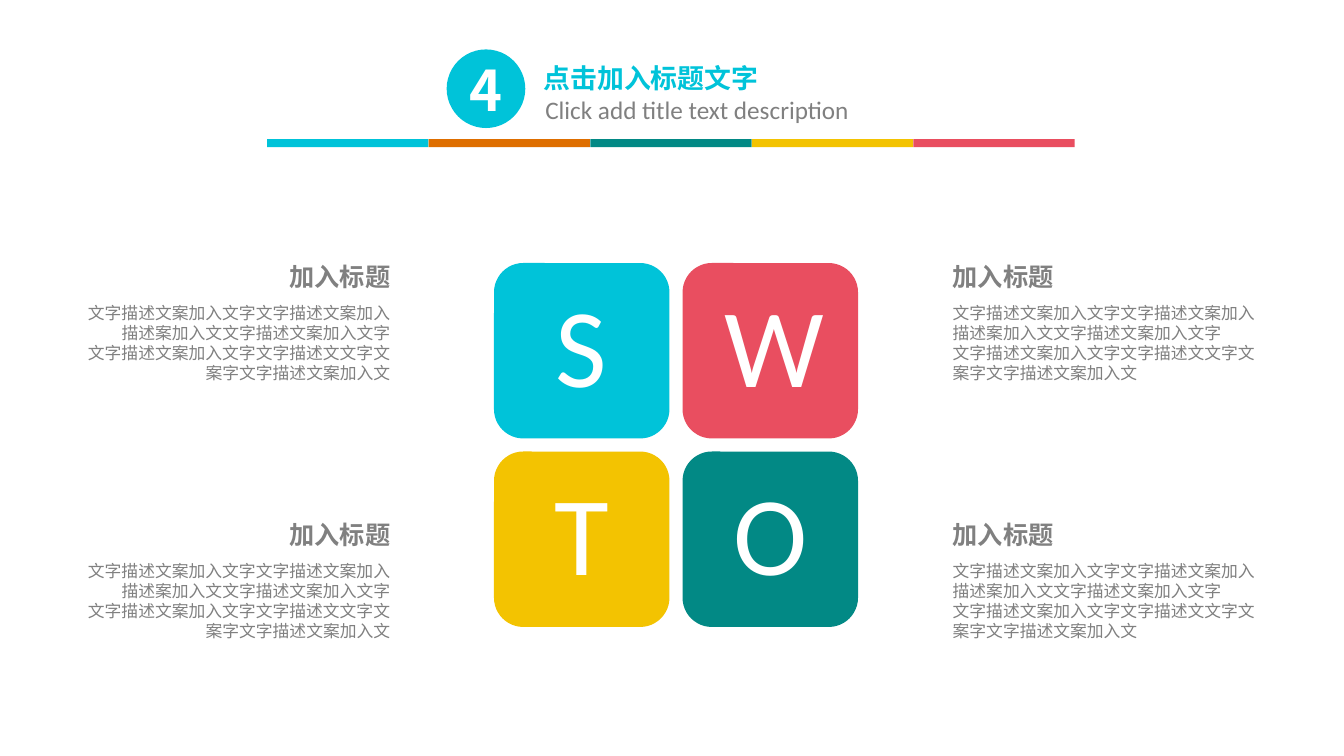
from lxml import etree
from pptx import Presentation
from pptx.dml.color import RGBColor
from pptx.enum.shapes import MSO_SHAPE
from pptx.enum.text import MSO_ANCHOR, PP_ALIGN
from pptx.oxml.ns import qn
from pptx.util import Inches, Pt

OVAL, RECT, ROUND = MSO_SHAPE.OVAL, MSO_SHAPE.RECTANGLE, MSO_SHAPE.ROUNDED_RECTANGLE
LEFT, MID, RIGHT = PP_ALIGN.LEFT, PP_ALIGN.CENTER, PP_ALIGN.RIGHT
CYAN = RGBColor(0x00, 0xC3, 0xD9)
ORANGE = RGBColor(0xDE, 0x6E, 0x00)
TEAL = RGBColor(0x02, 0x89, 0x85)
YELLOW = RGBColor(0xF3, 0xC3, 0x01)
RED = RGBColor(0xE9, 0x4E, 0x60)
GRAY = RGBColor(0x80, 0x80, 0x80)
WHITE = RGBColor(0xFF, 0xFF, 0xFF)
LATIN, HAN = "Calibri", "Noto Sans CJK SC"
BODY = (
    "文字描述文案加入文字文字描述文案加入描述案加入文文字描述文案加入文字\n"
    "文字描述文案加入文字文字描述文文字文案字文字描述文案加入文"
)

deck = Presentation()
deck.slide_width, deck.slide_height = Inches(13.33), Inches(7.5)
slide = deck.slides.add_slide(deck.slide_layouts[6])


def add_block(kind, x, y, w, h, fill):
    block = slide.shapes.add_shape(kind, Inches(x), Inches(y), Inches(w), Inches(h))
    block.shadow.inherit = False
    block.fill.solid()
    block.fill.fore_color.rgb = fill
    block.line.fill.background()
    block.text_frame.vertical_anchor = MSO_ANCHOR.MIDDLE
    return block


def set_text(shape, text, size, color, face, align=LEFT, bold=False, wrap=True):
    frame = shape.text_frame
    frame.word_wrap = wrap
    frame.text = text
    for para in frame.paragraphs:
        para.alignment = align
        for run in para.runs:
            run.font.size, run.font.bold, run.font.name = Pt(size), bold, face
            run.font.color.rgb = color
            east = etree.SubElement(run._r.get_or_add_rPr(), qn("a:ea"))
            east.set("typeface", HAN)


badge = add_block(OVAL, 4.43, 0.49, 0.78, 0.78, CYAN)
set_text(badge, "4", 40, WHITE, HAN, MID, True)

title = slide.shapes.add_textbox(Inches(5.31), Inches(0.5), Inches(2.88), Inches(0.48))
set_text(title, "点击加入标题文字", 24, CYAN, HAN, bold=True)
frame = title.text_frame
frame.margin_left = frame.margin_right = Inches(0.08)
frame.margin_top = frame.margin_bottom = Inches(0.04)
frame.paragraphs[0].runs[0]._r.get_or_add_rPr().set("cap", "small")

note = slide.shapes.add_textbox(Inches(5.31), Inches(0.89), Inches(3.36), Inches(0.4))
set_text(note, "Click add title text description", 18, GRAY, LATIN)

for i, color in enumerate((CYAN, ORANGE, TEAL, YELLOW, RED)):
    add_block(RECT, 2.65 + 1.6025 * i, 1.38, 1.6, 0.08, color)

tiles = (("S", CYAN), ("W", RED), ("T", YELLOW), ("O", TEAL))
for i, (mark, color) in enumerate(tiles):
    row, col = divmod(i, 2)
    tile = add_block(ROUND, 4.9 + 1.87 * col, 2.61 + 1.87 * row, 1.74, 1.74, color)
    set_text(tile, mark, 80, WHITE, LATIN, MID)
    frame = tile.text_frame
    frame.margin_left = frame.margin_right = Inches(0.33)
    frame.margin_top = frame.margin_bottom = Inches(0.33)
    frame.paragraphs[0].line_spacing = 0.9

for head_x, body_x, align in ((2.75, 0.62, RIGHT), (9.35, 9.35, LEFT)):
    for y in (2.54, 5.1):
        body = slide.shapes.add_textbox(
            Inches(body_x), Inches(y + 0.41), Inches(3.35), Inches(1.11))
        set_text(body, BODY, 12, GRAY, HAN, align)
        head = slide.shapes.add_textbox(
            Inches(head_x), Inches(y), Inches(1.22), Inches(0.4))
        set_text(head, "加入标题", 18, GRAY, LATIN, align, True, False)

deck.save("out.pptx")
